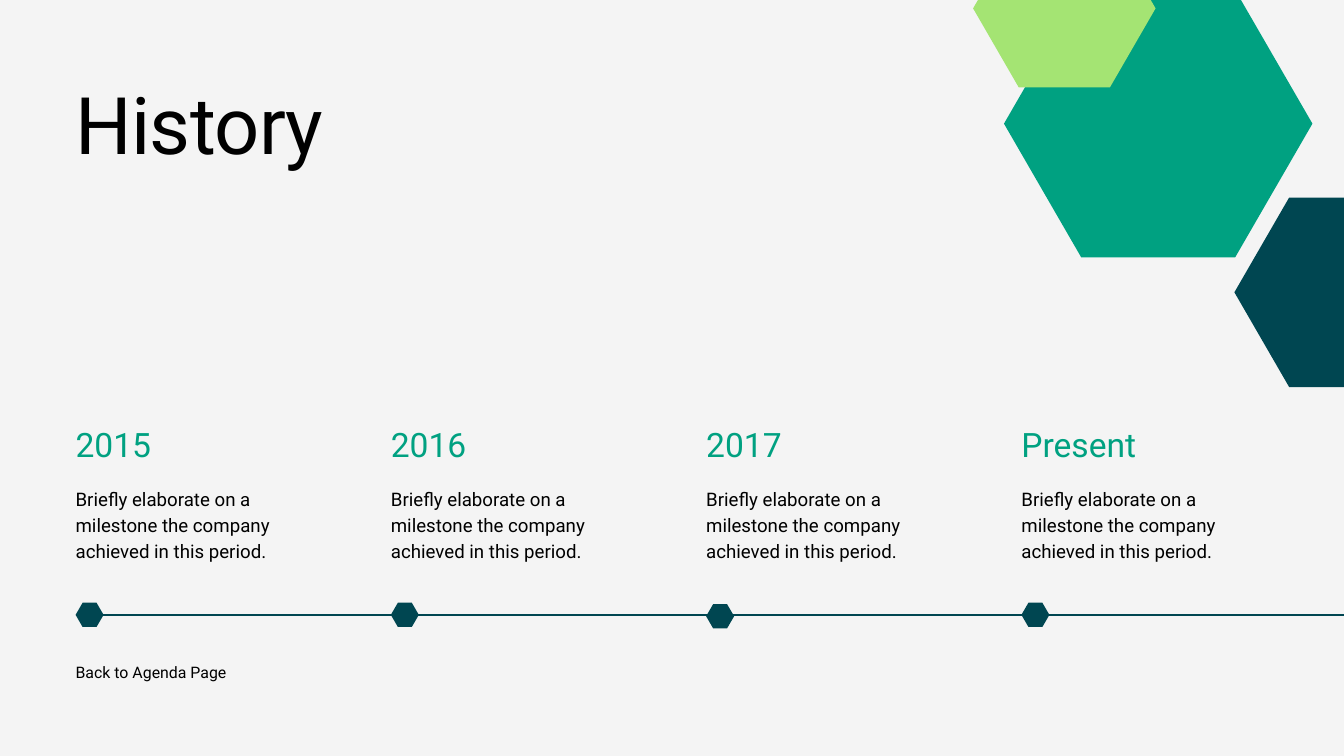
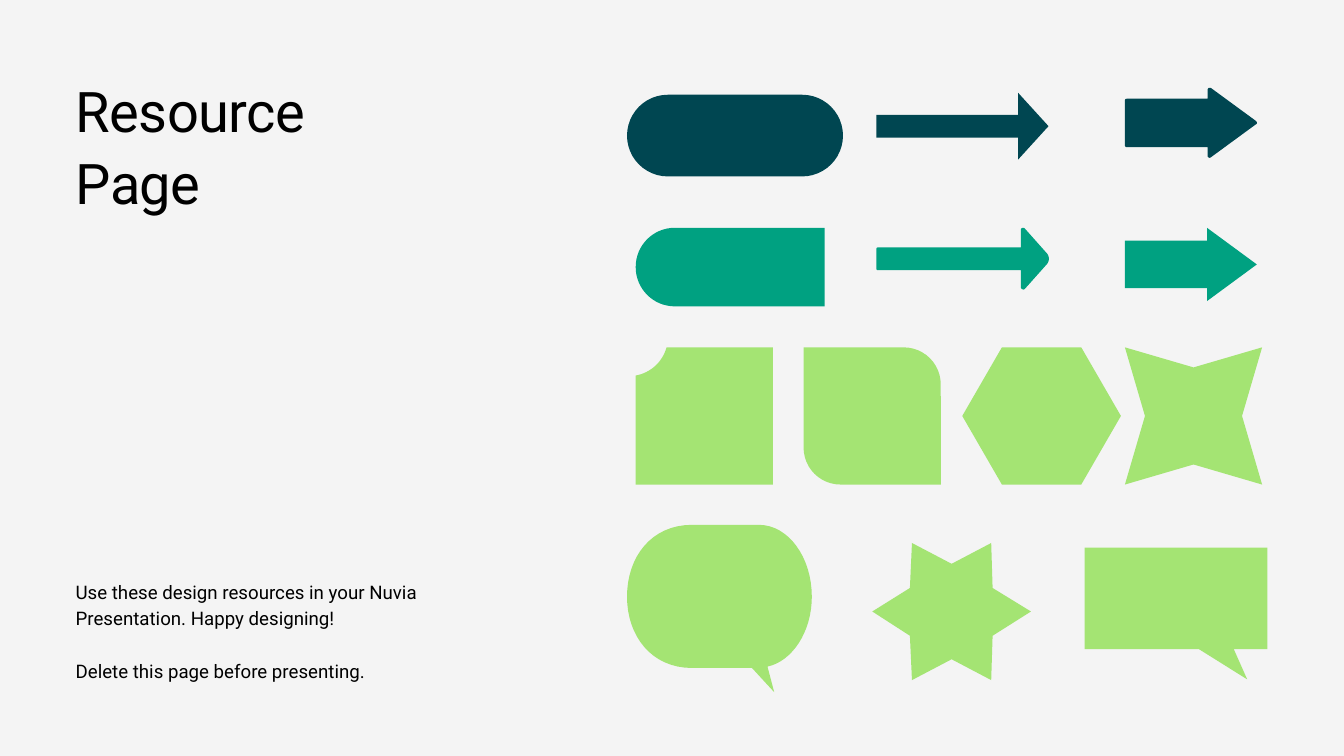
from lxml.etree import SubElement
from pptx import Presentation
from pptx.dml.color import RGBColor
from pptx.enum.shapes import MSO_CONNECTOR, MSO_SHAPE as Kind
from pptx.enum.text import MSO_ANCHOR, MSO_AUTO_SIZE, PP_ALIGN
from pptx.oxml.ns import qn
from pptx.util import Pt

PAPER = RGBColor(0xF4, 0xF4, 0xF4)
INK = RGBColor(0, 0, 0)
DARK = RGBColor(0x00, 0x46, 0x51)
GREEN = RGBColor(0x00, 0xA1, 0x81)
LIME = RGBColor(0xA4, 0xE4, 0x73)
FACE = "Roboto"
LEFT = 81
HEX = [0.289]

STYLES = {
    "title": {"size": Pt(85), "lead": Pt(102), "hue": INK, "track": "-80"},
    "page": {"size": Pt(60), "lead": Pt(78), "hue": INK, "track": "-60"},
    "year": {"size": Pt(36), "lead": Pt(43.2), "hue": GREEN, "track": "0"},
    "body": {"size": Pt(20), "lead": Pt(28), "hue": INK, "track": "0"},
    "back": {"size": Pt(17), "lead": Pt(23.8), "hue": INK, "track": "0"},
}


def write(shape, box, lines, name, gap=0):
    style = STYLES[name]
    for key, size in zip(("left", "top", "width", "height"), box):
        setattr(shape, key, Pt(size))
    frame = shape.text_frame
    form = {"word_wrap": True, "auto_size": MSO_AUTO_SIZE.NONE,
            "vertical_anchor": MSO_ANCHOR.TOP, "margin_left": 0,
            "margin_right": 0, "margin_top": 0, "margin_bottom": 0}
    for key, value in form.items():
        setattr(frame, key, value)
    for i, line in enumerate(lines):
        para = frame.add_paragraph() if i else frame.paragraphs[0]
        props = para._p.get_or_add_pPr()
        props.set("marL", "0")
        props.set("indent", "0")
        SubElement(props, qn("a:buNone"))
        form = {"alignment": PP_ALIGN.LEFT, "line_spacing": style["lead"],
                "space_before": Pt(gap if i else 0)}
        for key, value in form.items():
            setattr(para, key, value)
        run = para.add_run()
        run.text = line
        run.font.name = FACE
        run.font.size = style["size"]
        run.font.color.rgb = style["hue"]
        run._r.get_or_add_rPr().set("spc", style["track"])


def paint(shape, hue):
    shape.shadow.inherit = False
    shape.fill.solid()
    shape.fill.fore_color.rgb = hue
    shape.line.fill.background()


deck = Presentation()
deck.slide_width = Pt(1440)
deck.slide_height = Pt(810)
back = deck.slide_master.background.fill
back.solid()
back.fore_color.rgb = PAPER

past = deck.slides.add_slide(deck.slide_layouts[5])
kit = deck.slides.add_slide(deck.slide_layouts[1])

write(past.shapes.title, (LEFT, 80.6, 448.6, 101.5), ["History"], "title")
rail = past.shapes.add_connector(
    MSO_CONNECTOR.STRAIGHT, Pt(100), Pt(658.8), Pt(1440), Pt(658.8))
rail.line.color.rgb = DARK
rail.line.width = Pt(1.5)
SubElement(rail._element.spPr, qn("a:effectLst"))

presets = []
note = "Briefly elaborate on a milestone the company achieved in this period."
for i, year in enumerate(["2015", "2016", "2017", "Present"]):
    x = LEFT + 337.8 * i
    for y, high, text, name in [(454.5, 43.2, year, "year"),
                                (518.4, 82, note, "body")]:
        label = past.shapes.add_textbox(0, 0, 0, 0)
        write(label, (x, y, 265, high), [text], name)
    y = 647.3 if year == "2017" else 645.8
    presets.append((past, Kind.HEXAGON, (x, y, 30, 26), DARK, HEX))

label = past.shapes.add_textbox(0, 0, 0, 0)
write(label, (LEFT, 706.3, 412, 23), ["Back to Agenda Page"], "back")

write(kit.shapes.title, (LEFT, 75.6, 398, 155.5), ["Resource", "Page"], "page")
write(kit.placeholders[1], (LEFT, 618.5, 412.6, 111),
      ["Use these design resources in your Nuvia Presentation. Happy designing!",
       "Delete this page before presenting."], "body", gap=28)

presets += [
    (past, Kind.HEXAGON, (1322.6, 211.7, 234.7, 203), DARK, HEX),
    (past, Kind.HEXAGON, (1075.7, -10.8, 330.5, 286.6), GREEN, HEX),
    (past, Kind.HEXAGON, (1042.6, -75.6, 195.5, 169.2), LIME, HEX),
    (kit, Kind.ROUNDED_RECTANGLE, (671.8, 101.5, 231.4, 87.5), DARK, [0.5]),
    (kit, Kind.RIGHT_ARROW, (938.9, 99.4, 184.5, 71.6), DARK, [0.34, 0.455]),
    (kit, Kind.RIGHT_ARROW, (1205.3, 244.1, 141.3, 78.5), GREEN, [0.65, 0.68]),
    (kit, Kind.ROUND_2_DIAG_RECTANGLE, (861, 372.2, 147, 147), LIME, [0, 0.27]),
    (kit, Kind.HEXAGON, (1031, 372.2, 170, 147), LIME, HEX),
]
for slide, kind, box, hue, tweaks in presets:
    shape = slide.shapes.add_shape(kind, *map(Pt, box))
    for i, tweak in enumerate(tweaks):
        shape.adjustments[i] = tweak
    paint(shape, hue)

half = [(202.3, 0), (202.3, 84.2), (42, 84.2),
        (18.7, 84.2, 0, 65.3, 0, 42.1), (0, 18.7, 18.7, 0, 42, 0)]
notch = [(147, 0), (147, 147), (0, 147), (0, 30.2),
         (15.8, 27.4, 28.8, 15.8, 33.1, 0)]
star = [(147, 0), (125.5, 73.5), (147, 147), (73.5, 125.5),
        (0, 147), (21.5, 73.5), (0, 0), (73.5, 21.5)]
burst = [(170, 73.4), (128.9, 99.4), (127.4, 146.9), (85, 124.6),
         (42.5, 146.9), (40.3, 99.4), (0, 73.4), (40.3, 48.2),
         (42.5, 0), (85, 22.3), (127.4, 0), (128.9, 48.2)]
speech = [(195.8, 108.7), (159.8, 108.7), (174.2, 141.1), (122.4, 108.7),
          (0, 108.7), (0, 0), (195.8, 0)]
bubble = [(198, 77), (198, 114.5, 177.1, 146.2, 150.5, 151.9),
          (157.7, 179.3), (133.9, 153.4), (69.8, 153.4),
          (25.9, 153.4, 0, 118.8, 0, 77), (0, 34.6, 25.9, 0, 69.8, 0),
          (141.1, 0), (172.8, 0, 198, 34.6, 198, 77)]
thick = [(140.4, 39.6), (92.2, 74.9), (90.7, 76.3, 88.6, 74.9, 88.6, 73.4),
         (88.6, 64.1), (2.2, 64.1), (0.7, 64.1, 0, 63.4, 0, 61.9),
         (0, 14.4), (0, 13, 0.7, 12.2, 2.2, 12.2), (88.6, 12.2),
         (88.6, 2.9), (88.6, 0.7, 90.7, 0, 92.2, 0.7),
         (140.4, 36), (141.8, 37.4, 141.8, 38.9, 140.4, 39.6)]
thin = [(182.2, 40.3), (159.1, 66.2), (157.7, 67.7, 154.8, 66.2, 154.8, 64.1),
        (154.8, 46.1), (2.2, 46.1), (0.7, 46.1, 0, 45.4, 0, 43.9),
        (0, 23.8), (0, 22.3, 0.7, 21.6, 2.2, 21.6), (154.8, 21.6),
        (154.8, 2.9), (154.8, 0.7, 157.7, 0, 159.1, 1.4),
        (182.2, 27.4), (185.8, 31, 185.8, 36.7, 182.2, 40.3)]

for left, top, hue, steps in [
    (681.1, 244.1, GREEN, half), (681.1, 372.2, LIME, notch),
    (1205.3, 372.2, LIME, star), (934.6, 581.8, LIME, burst),
    (1162.1, 586.8, LIME, speech), (671.8, 562.3, LIME, bubble),
    (1205.3, 93.6, DARK, thick), (938.9, 243.4, GREEN, thin),
]:
    dots = [steps[0]]
    for step in steps[1:]:
        if len(step) == 2:
            dots.append(step)
            continue
        ax, ay = dots[-1]
        bx, by, cx, cy, dx, dy = step
        for n in range(1, 17):
            t = n / 16
            u = 1 - t
            w = (u ** 3, 3 * u * u * t, 3 * u * t * t, t ** 3)
            dots.append((w[0] * ax + w[1] * bx + w[2] * cx + w[3] * dx,
                         w[0] * ay + w[1] * by + w[2] * cy + w[3] * dy))
    ends = [(Pt(left + x), Pt(top + y)) for x, y in dots]
    pen = kit.shapes.build_freeform(*ends[0])
    pen.add_line_segments(ends[1:], close=True)
    paint(pen.convert_to_shape(), hue)

deck.save("out.pptx")
